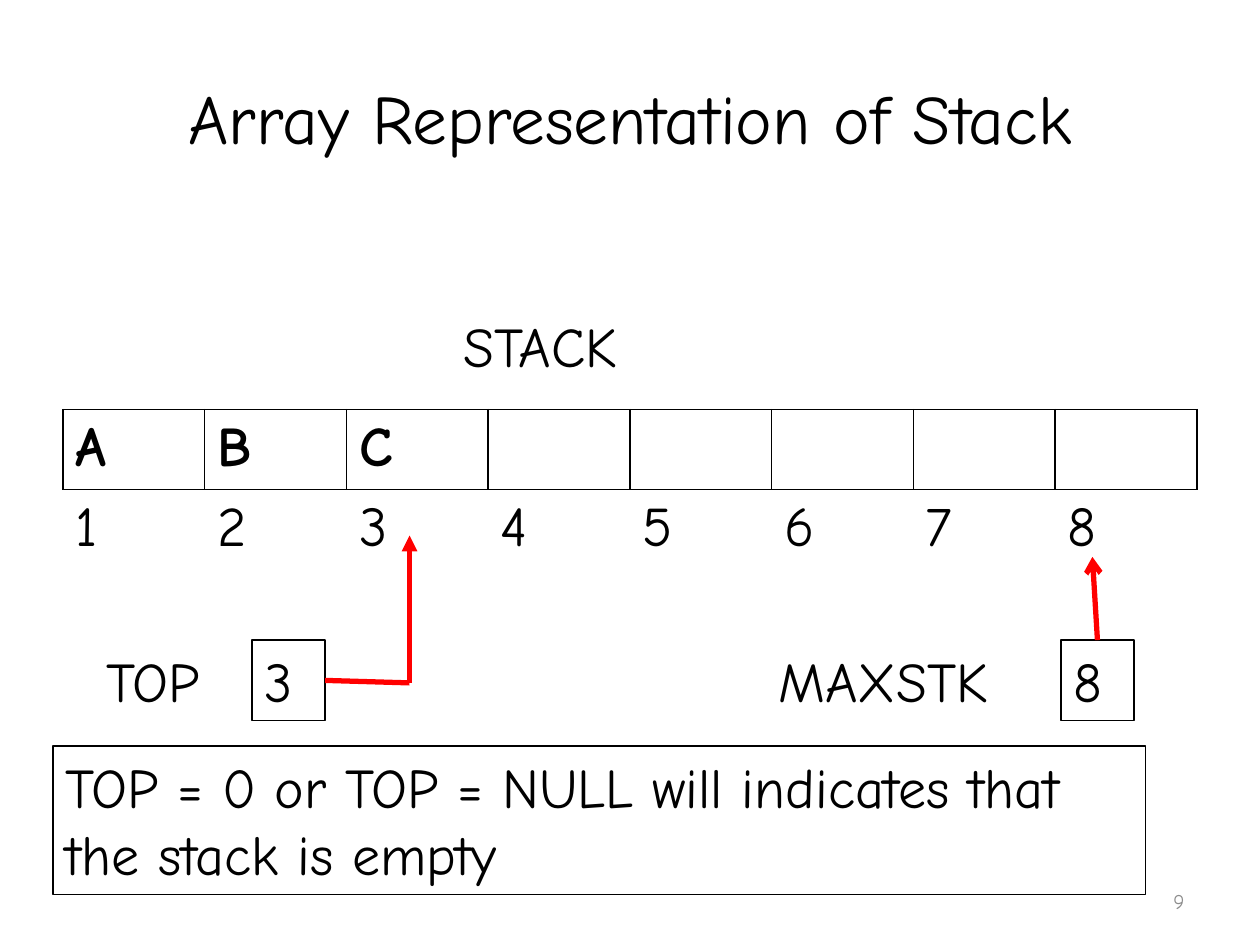
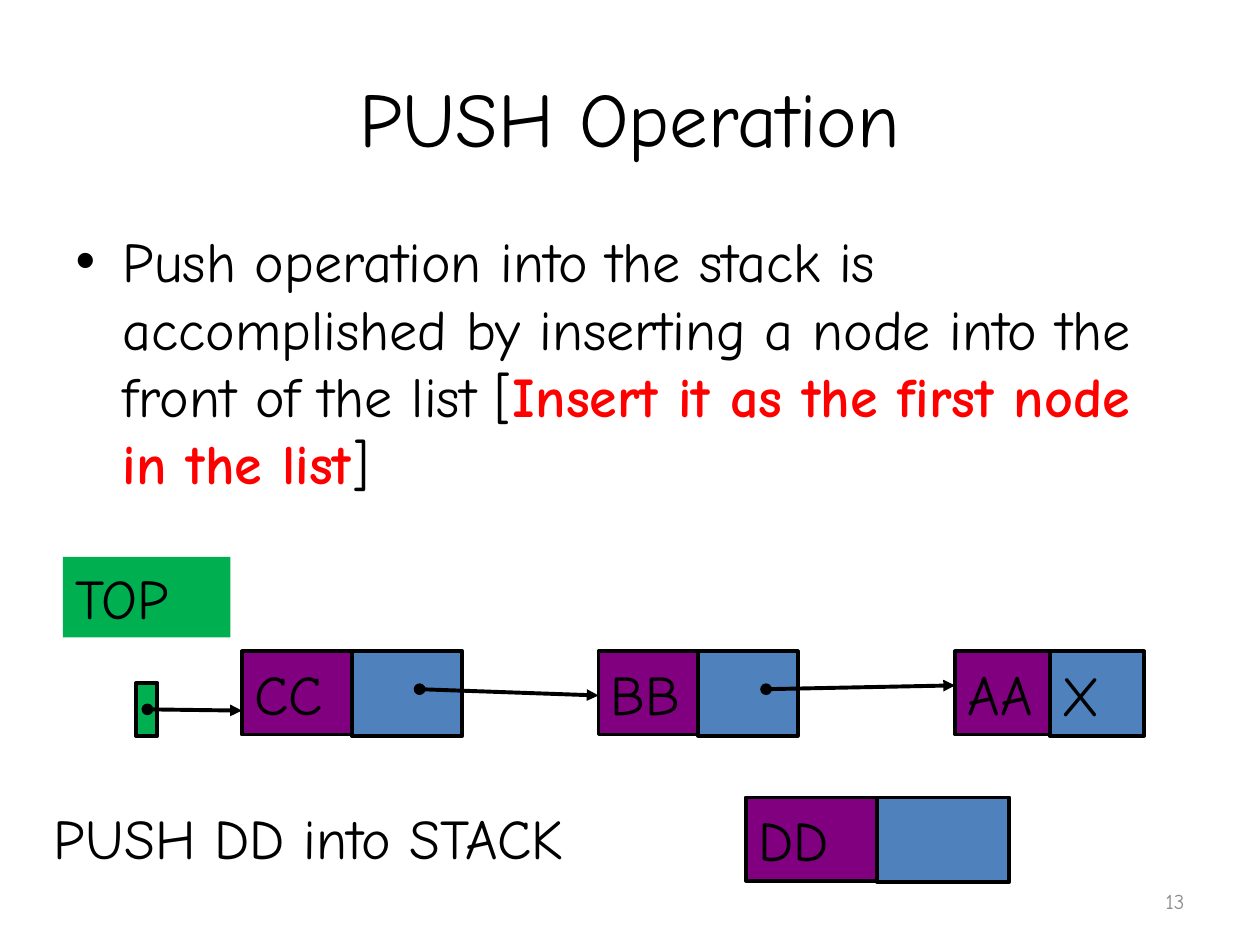
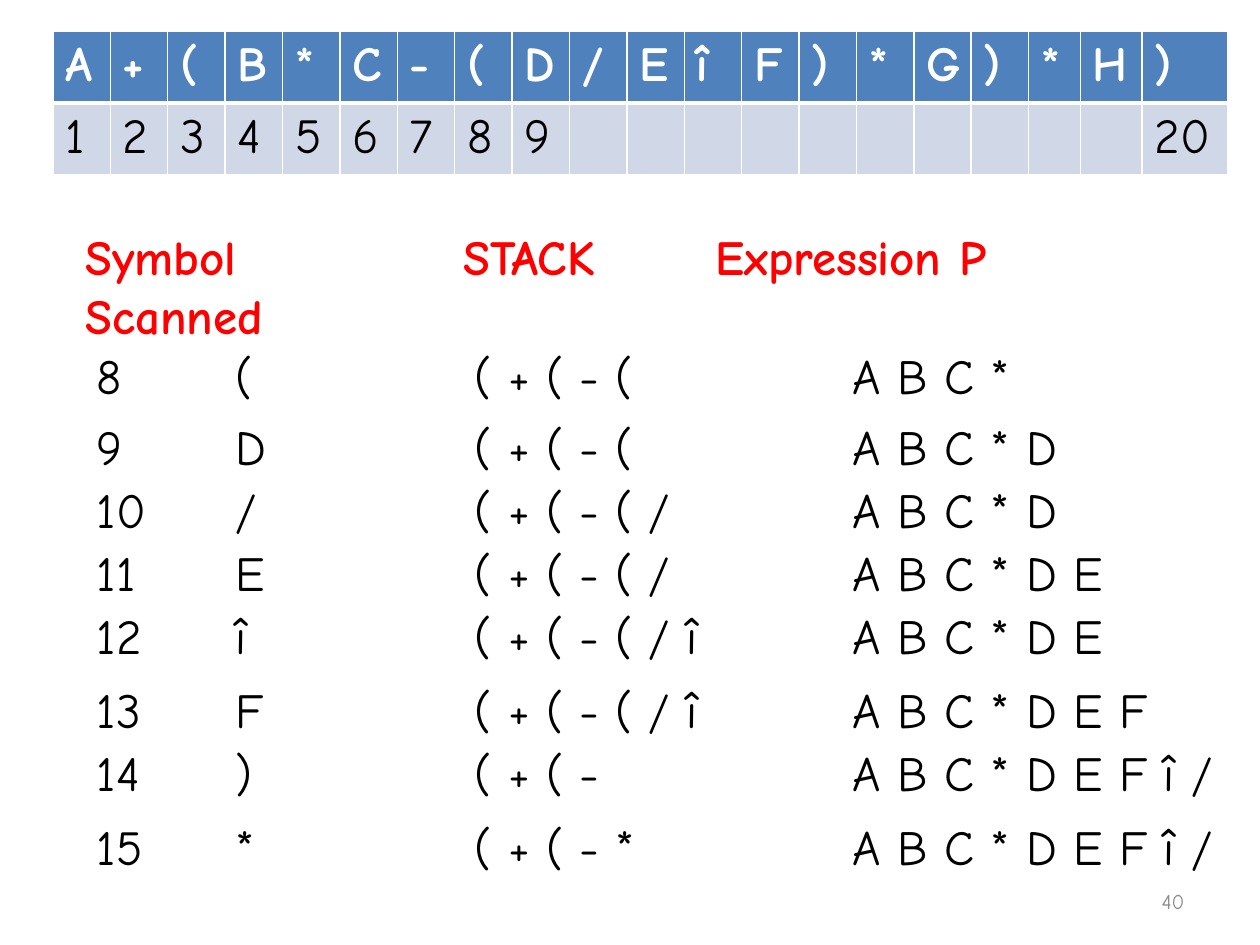
import pptx
import pptx.dml.color
import pptx.enum.shapes
import pptx.enum.text
import pptx.oxml.ns
import pptx.util
from dataclasses import dataclass
from typing import Any, Optional, Sequence
from lxml import etree

# Shared look
FONT = "Comic Neue"
BLACK, WHITE, RED, GREY = "000000", "FFFFFF", "FF0000", "8C8C8C"
GREEN, BLUE, PURPLE, PALE_BLUE = "00B050", "4F81BD", "800080", "D0D8E8"
BODY_SIZE, TRACE_SIZE = 32, 28
TITLE_CONTENT, TITLE_ONLY, BLANK = 1, 5, 6
PLAIN_TABLE_STYLE = "{2D5ABB26-0587-4C30-8999-92F81FD0307C}"
ALIGN = pptx.enum.text.PP_ALIGN
ANCHOR = pptx.enum.text.MSO_ANCHOR
AUTO_SIZE = pptx.enum.text.MSO_AUTO_SIZE
qn = pptx.oxml.ns.qn


@dataclass(frozen=True)
class Box:
    """A rectangle with optional text, fill and outline."""
    left: float
    top: float
    width: float
    height: float
    text: str = ""
    fill: Optional[str] = None
    line: float = 0
    node: bool = False


@dataclass(frozen=True)
class Arrow:
    """A straight line with optional ends."""
    start: tuple[float, float]
    end: tuple[float, float]
    color: str
    width: float
    head: str = ""
    tail: str = ""


@dataclass(frozen=True)
class Node:
    """A list node: a data field and a link field."""
    left: float
    data_width: float
    link_width: float
    data: str
    link: str = ""


def rgb(color: str) -> pptx.dml.color.RGBColor:
    return pptx.dml.color.RGBColor.from_string(color)


def lengths(*values: float) -> list[int]:
    return [pptx.util.Inches(value) for value in values]


def style(paragraph: Any, size: float, color: str = BLACK, bold: bool = False,
          align: Any = ALIGN.LEFT) -> None:
    paragraph.alignment = align
    font = paragraph.font
    font.name, font.size, font.bold = FONT, pptx.util.Pt(size), bold
    font.color.rgb = rgb(color)


def set_tabs(paragraph: Any, stops: Sequence[float]) -> None:
    tab_list = etree.Element(qn("a:tabLst"))
    for stop in stops:
        etree.SubElement(tab_list, qn("a:tab"), pos=str(pptx.util.Inches(stop)), algn="l")
    paragraph._p.get_or_add_pPr().insert(0, tab_list)


def draw_box(shapes: Any, box: Box) -> None:
    place = lengths(box.left, box.top, box.width, box.height)
    if box.fill or box.line:
        shape = shapes.add_shape(pptx.enum.shapes.MSO_SHAPE.RECTANGLE, *place)
        shape.shadow.inherit = False
    else:
        shape = shapes.add_textbox(*place)
    if box.fill:
        shape.fill.solid()
        shape.fill.fore_color.rgb = rgb(box.fill)
    else:
        shape.fill.background()
    if box.line:
        shape.line.color.rgb = rgb(BLACK)
        shape.line.width = pptx.util.Pt(box.line)
    else:
        shape.line.fill.background()
    if box.text:
        frame = shape.text_frame
        frame.word_wrap = not box.node
        frame.vertical_anchor = ANCHOR.MIDDLE if box.node else ANCHOR.TOP
        frame.auto_size = AUTO_SIZE.NONE if box.node else AUTO_SIZE.SHAPE_TO_FIT_TEXT
        frame.text = box.text
        style(frame.paragraphs[0], BODY_SIZE)


def draw_arrow(shapes: Any, arrow: Arrow) -> None:
    connector = shapes.add_connector(pptx.enum.shapes.MSO_CONNECTOR.STRAIGHT,
                                     *lengths(*arrow.start, *arrow.end))
    connector.line.color.rgb = rgb(arrow.color)
    connector.line.width = pptx.util.Pt(arrow.width)
    properties = connector.element.spPr
    outline = properties.find(qn("a:ln"))
    for tag, kind in (("a:headEnd", arrow.head), ("a:tailEnd", arrow.tail)):
        if kind:
            etree.SubElement(outline, qn(tag), type=kind)
    etree.SubElement(properties, qn("a:effectLst"))


def draw_node(shapes: Any, node: Node, top: float) -> None:
    link_left = node.left + node.data_width
    draw_box(shapes, Box(link_left, top, node.link_width, 0.67, node.link, BLUE, 2.25, True))
    draw_box(shapes, Box(node.left, top, node.data_width, 0.66, node.data, PURPLE, 2.25, True))


def set_borders(cell: Any, color: str, widths: dict[str, float]) -> None:
    """Give a cell borders; the sides come in the order L, R, T, B."""
    properties = cell._tc.get_or_add_tcPr()
    for position, (side, width) in enumerate(widths.items()):
        line = etree.Element(qn(f"a:ln{side}"), w=str(pptx.util.Pt(width)))
        fill = etree.SubElement(line, qn("a:solidFill"))
        etree.SubElement(fill, qn("a:srgbClr"), val=color)
        properties.insert(position, line)


def add_grid(slide: Any, left: float, top: float, widths: Sequence[float], row_height: float,
             rows: Sequence[Sequence[str]], size: float, head_color: str,
             fills: Sequence[Optional[str]], borders: Sequence[dict[str, float]],
             border_color: str) -> None:
    """Add a two-row table: bold symbols above their positions."""
    frame = slide.shapes.add_table(len(rows), len(widths), *lengths(
        left, top, sum(widths), row_height * len(rows)))
    table = frame.table
    table.first_row = table.horz_banding = False
    next(frame.element.iter(qn("a:tableStyleId"))).text = PLAIN_TABLE_STYLE
    for column, width in zip(table.columns, widths):
        column.width = pptx.util.Inches(width)
    for r, (texts, fill) in enumerate(zip(rows, fills)):
        table.rows[r].height = pptx.util.Inches(row_height)
        for c, text in enumerate(texts):
            cell = table.cell(r, c)
            cell.text = text
            style(cell.text_frame.paragraphs[0], size, BLACK if r else head_color, r == 0)
            if fill:
                cell.fill.solid()
                cell.fill.fore_color.rgb = rgb(fill)
            else:
                cell.fill.background()
            set_borders(cell, border_color, borders[r])


def add_slide(deck: Any, layout: int, number: int, title: str = "", size: float = 44) -> Any:
    """Add a slide with its title and page number."""
    slide = deck.slides.add_slide(deck.slide_layouts[layout])
    if title:
        heading = slide.shapes.title
        heading.left, heading.top, heading.width, heading.height = lengths(0.5, 0.3, 9, 1.25)
        heading.text_frame.text = title
        heading.text_frame.vertical_anchor = ANCHOR.MIDDLE
        style(heading.text_frame.paragraphs[0], size, align=ALIGN.CENTER)
    page = slide.shapes.add_textbox(*lengths(7.17, 6.95, 2.33, 0.4)).text_frame
    page.word_wrap = True
    page.vertical_anchor = ANCHOR.MIDDLE
    page.text = str(number)
    style(page.paragraphs[0], 12, GREY, align=ALIGN.RIGHT)
    return slide


def add_tabbed_text(slide: Any, left: float, top: float, width: float, height: float,
                    lines: Sequence[str], stops: Sequence[float], color: str = BLACK,
                    bold: bool = False) -> None:
    frame = slide.shapes.add_textbox(*lengths(left, top, width, height)).text_frame
    frame.word_wrap = True
    frame.auto_size = AUTO_SIZE.SHAPE_TO_FIT_TEXT
    frame.text = "\n".join(lines)
    for paragraph in frame.paragraphs:
        style(paragraph, TRACE_SIZE, color, bold)
        set_tabs(paragraph, stops)


def build_array_slide(deck: Any) -> None:
    slide = add_slide(deck, TITLE_ONLY, 9, "Array Representation of Stack", 39.6)
    capacity = 8
    items = ["A", "B", "C"]
    add_grid(slide, 0.5, 3.25, [9 / capacity] * capacity, 0.62,
             [items + [""] * (capacity - len(items)),
              [str(n + 1) for n in range(capacity)]],
             BODY_SIZE, BLACK, [None, None],
             [{"L": 1, "R": 1, "T": 1, "B": 1}, {"T": 1}], BLACK)

    # Labels, variables and the remark
    for box in (
        Box(3.58, 2.42, 1.83, 0.64, "STACK"),
        Box(0.75, 5.08, 1.17, 0.64, "TOP"),
        Box(2, 5.08, 0.58, 0.64, "3", line=0.75),
        Box(6.08, 5.08, 2.17, 0.64, "MAXSTK"),
        Box(8.42, 5.08, 0.58, 0.64, "8", line=0.75),
        Box(0.42, 5.92, 8.67, 1.18,
            "TOP = 0 or TOP = NULL will indicates that the stack is empty", line=0.75),
    ):
        draw_box(slide.shapes, box)

    # Pointers from the variables to the array
    for arrow in (
        Arrow((2.58, 5.4), (3.25, 5.42), RED, 3),
        Arrow((3.25, 5.42), (3.25, 4.25), RED, 3, tail="triangle"),
        Arrow((8.71, 5.08), (8.67, 4.42), RED, 3, tail="arrow"),
    ):
        draw_arrow(slide.shapes, arrow)


def build_push_slide(deck: Any) -> None:
    slide = add_slide(deck, TITLE_CONTENT, 13, "PUSH Operation")
    body = slide.placeholders[1]
    body.left, body.top, body.width, body.height = lengths(0.5, 1.75, 9, 4.95)
    explanation = body.text_frame.paragraphs[0]
    style(explanation, BODY_SIZE)
    for text, stressed in (
        ("Push operation into the stack is accomplished by inserting a node into the "
         "front of the list [", False),
        ("Insert it as the first node in the list", True),
        ("]", False),
    ):
        run = explanation.add_run()
        run.text = text
        if stressed:
            run.font.bold = True
            run.font.color.rgb = rgb(RED)

    # Linked list with its TOP pointer
    linked_list = slide.shapes.add_group_shape().shapes
    for node in (Node(1.92, 0.87, 0.88, "CC"), Node(4.75, 0.79, 0.79, "BB"),
                 Node(7.58, 0.75, 0.75, "AA", "X")):
        draw_node(linked_list, node, 5.17)
    draw_box(linked_list, Box(1.08, 5.42, 0.17, 0.42, fill=GREEN, line=2.25))
    for start, end in (((1.17, 5.63), (1.92, 5.64)), ((3.33, 5.47), (4.75, 5.52)),
                       ((6.08, 5.47), (7.58, 5.44))):
        draw_arrow(linked_list, Arrow(start, end, BLACK, 2.25, "oval", "triangle"))
    draw_box(linked_list, Box(0.5, 4.42, 1.33, 0.64, "TOP", GREEN))

    # Node to be pushed
    draw_node(slide.shapes.add_group_shape().shapes, Node(5.92, 1.04, 1.05, "DD"), 6.33)
    draw_box(slide.shapes, Box(0.33, 6.33, 5.25, 0.64, "PUSH DD into STACK"))


def build_trace_slide(deck: Any) -> None:
    slide = add_slide(deck, BLANK, 40)
    symbols = "A+(B*C-(D/EîF)*G)*H)"
    positions = [str(n) if n < 10 or n == len(symbols) else ""
                 for n in range(1, len(symbols) + 1)]
    last_widths = [0.41, 0.49, 0.68]
    regular = len(symbols) - len(last_widths)
    widths = [(9.33 - sum(last_widths)) / regular] * regular + last_widths
    add_grid(slide, 0.42, 0.25, widths, 0.55, [list(symbols), positions],
             TRACE_SIZE, WHITE, [BLUE, PALE_BLUE],
             [{"L": 1, "R": 1, "T": 1, "B": 3}, {"L": 1, "R": 1, "T": 3, "B": 1}], WHITE)

    # Trace of the conversion
    add_tabbed_text(slide, 0.58, 1.75, 8.75, 1.04,
                    ["Symbol\tSTACK\tExpression P", "Scanned"], [3, 5], RED, True)
    for top, step, symbol, stack, output in (
        (2.69, 8, "(", "( + ( - (", "A B C *"),
        (3.26, 9, "D", "( + ( - (", "A B C * D"),
        (3.76, 10, "/", "( + ( - ( /", "A B C * D"),
        (4.26, 11, "E", "( + ( - ( /", "A B C * D E"),
        (4.76, 12, "î", "( + ( - ( / î", "A B C * D E"),
        (5.34, 13, "F", "( + ( - ( / î", "A B C * D E F"),
        (5.84, 14, ")", "( + ( -", "A B C * D E F î /"),
        (6.43, 15, "*", "( + ( - *", "A B C * D E F î /"),
    ):
        add_tabbed_text(slide, 0.67, top, 9.33, 0.57,
                        [f"{step}\t{symbol}\t{stack}\t{output}"], [1.1, 3, 6])


def main() -> None:
    deck = pptx.Presentation()
    deck.slide_width, deck.slide_height = lengths(10, 7.5)
    build_array_slide(deck)
    build_push_slide(deck)
    build_trace_slide(deck)
    deck.save("out.pptx")


main()
